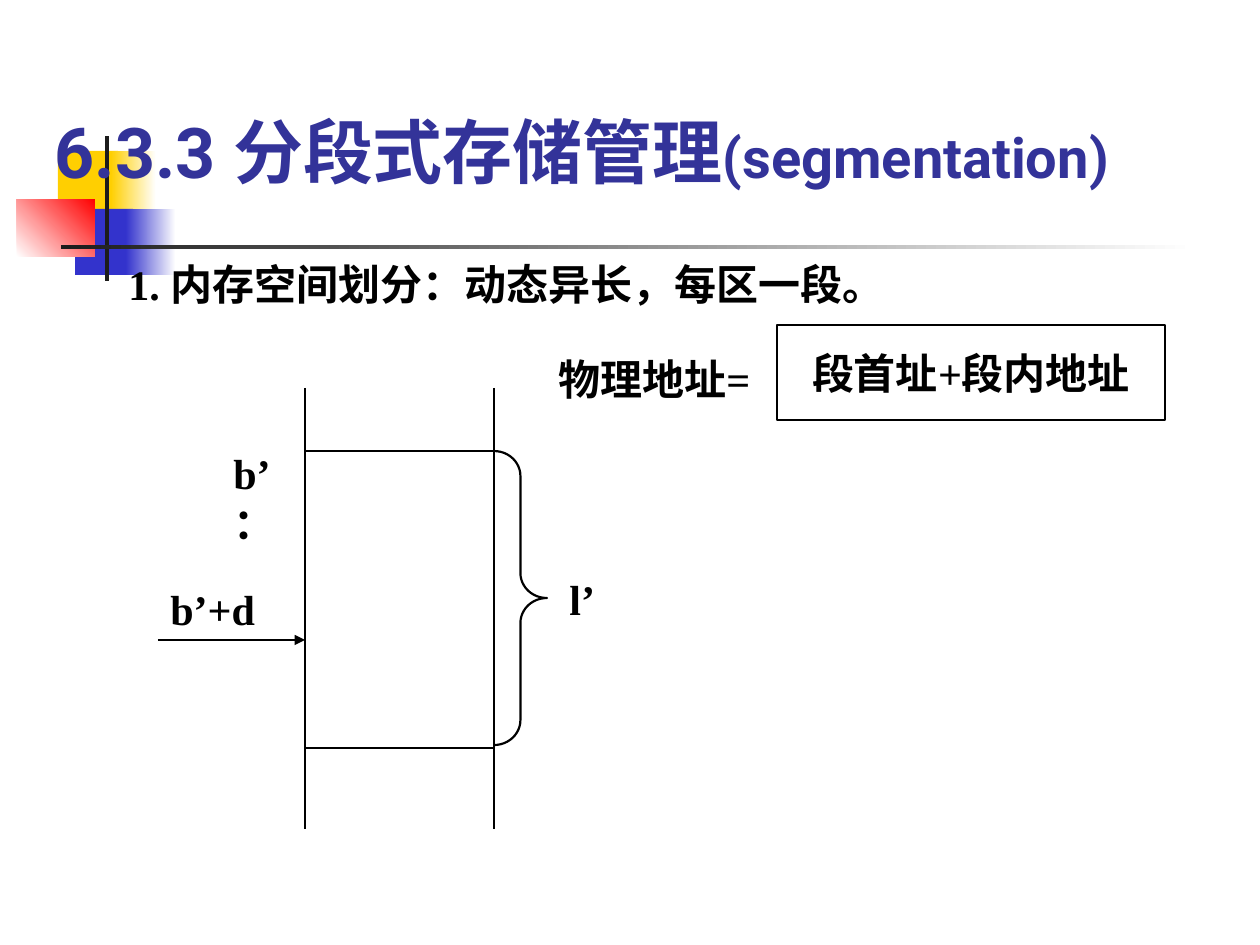
from lxml.etree import SubElement
from pptx import Presentation
from pptx.dml.color import RGBColor
from pptx.enum.shapes import MSO_CONNECTOR, MSO_SHAPE
from pptx.enum.text import MSO_ANCHOR, MSO_AUTO_SIZE, PP_ALIGN
from pptx.oxml.ns import qn
from pptx.util import Inches, Pt

YELLOW = RGBColor(0xFF, 0xCF, 0x01)
BLUE = RGBColor(0x33, 0x33, 0xCC)
RED = RGBColor(0xFF, 0x00, 0x00)
DARK = RGBColor(0x1C, 0x1C, 0x1C)
INDIGO = RGBColor(0x33, 0x33, 0x99)
BLACK = RGBColor(0, 0, 0)
WHITE = RGBColor(0xFF, 0xFF, 0xFF)

TITLE_AREA = (42, 42, 1176, 157)
TITLE = [("6.3.3 分段式存储管理", 40), ("(segmentation)", 32)]

DECORATIONS = [
    ((58, 151, 60, 66), (YELLOW,), 0),
    ((111, 151, 45, 66), (YELLOW, WHITE), 0),
    ((75, 209, 58, 66), (BLUE,), 0),
    ((126, 209, 50, 66), (BLUE, WHITE), 0),
    ((17, 199, 78, 58), (WHITE, RED), 45),
    ((105, 136, 4, 145), (DARK,), 0),
    ((61, 245, 1134, 4), (DARK, WHITE), 0),
]

HEADING = ("1. 内存空间划分：动态异长，每区一段。", (116, 252, 781, 63))
FORMULA = ("段首址+段内地址", (777, 325, 388, 95))
LABELS = [
    ("物理地址=", (546, 347, 252, 63)),
    ("b’：", (221, 441, 73, 63)),
    ("l’", (557, 567, 84, 63)),
    ("b’+d", (158, 577, 126, 63)),
]

LEFT, RIGHT = 305, 494
SEGMENT_TOP, SEGMENT_HEIGHT = 451, 297
MEMORY_TOP, MEMORY_BOTTOM = 388, 829
BRACE = (RIGHT, SEGMENT_TOP, 53, 294)
ARROW = (158, 640, LEFT, 640)

BODY_FONT = {"name": "Times New Roman", "size": Pt(24), "bold": True}
TITLE_FONT = {"name": "Roboto", "bold": True}


def px(values):
    return [round(value * Inches(1) / 126) for value in values]


def add_span(para, text, color, font):
    span = para.add_run()
    span.text = text
    for name, value in font.items():
        setattr(span.font, name, value)
    span.font.color.rgb = color


def add_shape(page, kind, area, colors=(), angle=0, line=None):
    shape = page.shapes.add_shape(kind, *px(area))
    shape.shadow.inherit = False
    if len(colors) == 2:
        shape.fill.gradient()
        shape.fill.gradient_angle = angle
        for stop, color, position in zip(shape.fill.gradient_stops, colors, (0, 1)):
            stop.color.rgb = color
            stop.position = position
    elif colors:
        shape.fill.solid()
        shape.fill.fore_color.rgb = colors[0]
    else:
        shape.fill.background()
    if line:
        shape.line.color.rgb = BLACK
        shape.line.width = Pt(line)
    else:
        shape.line.fill.background()
    return shape


def add_line(page, points, arrow=False):
    line = page.shapes.add_connector(MSO_CONNECTOR.STRAIGHT, *px(points))
    line.line.color.rgb = BLACK
    line.line.width = Pt(1.25)
    if arrow:
        SubElement(line.line._get_or_add_ln(), qn("a:tailEnd"), type="triangle")
    SubElement(line._element.spPr, qn("a:effectLst"))


def add_label(page, text, area, wrap=True):
    box = page.shapes.add_textbox(*px(area))
    box.text_frame.word_wrap = wrap
    box.text_frame.auto_size = MSO_AUTO_SIZE.SHAPE_TO_FIT_TEXT
    para = box.text_frame.paragraphs[0]
    if wrap:
        before = SubElement(para._p.get_or_add_pPr(), qn("a:spcBef"))
        SubElement(before, qn("a:spcPct"), val="50000")
    add_span(para, text, BLACK, BODY_FONT)


def add_formula(page, text, area):
    box = add_shape(page, MSO_SHAPE.RECTANGLE, area, (WHITE,), line=0.75)
    box.text_frame.word_wrap = False
    box.text_frame.vertical_anchor = MSO_ANCHOR.MIDDLE
    para = box.text_frame.paragraphs[0]
    para.alignment = PP_ALIGN.CENTER
    add_span(para, text, BLACK, BODY_FONT)


def add_memory(page):
    segment = (LEFT, SEGMENT_TOP, RIGHT - LEFT, SEGMENT_HEIGHT)
    add_shape(page, MSO_SHAPE.RECTANGLE, segment, (WHITE,), line=1.25)
    for x in (RIGHT, LEFT):
        add_line(page, (x, MEMORY_TOP, x, MEMORY_BOTTOM))
    brace = add_shape(page, MSO_SHAPE.RIGHT_BRACE, BRACE, line=1.25)
    brace.adjustments[0] = 0.47
    add_line(page, ARROW, arrow=True)


def set_title(page):
    title = page.shapes.title
    title.left, title.top, title.width, title.height = px(TITLE_AREA)
    frame = title.text_frame
    frame.auto_size = MSO_AUTO_SIZE.NONE
    frame.vertical_anchor = MSO_ANCHOR.BOTTOM
    para = frame.paragraphs[0]
    para.alignment = PP_ALIGN.LEFT
    for text, size in TITLE:
        add_span(para, text, INDIGO, {**TITLE_FONT, "size": Pt(size)})
    page.shapes._spTree.append(title._element)


def main():
    deck = Presentation()
    deck.slide_width, deck.slide_height = px((1260, 945))
    page = deck.slides.add_slide(deck.slide_layouts[5])
    for area, colors, angle in DECORATIONS:
        add_shape(page, MSO_SHAPE.RECTANGLE, area, colors, angle)
    add_label(page, *HEADING, wrap=False)
    add_formula(page, *FORMULA)
    add_memory(page)
    for text, area in LABELS:
        add_label(page, text, area)
    set_title(page)
    deck.save("out.pptx")


if __name__ == "__main__":
    main()
